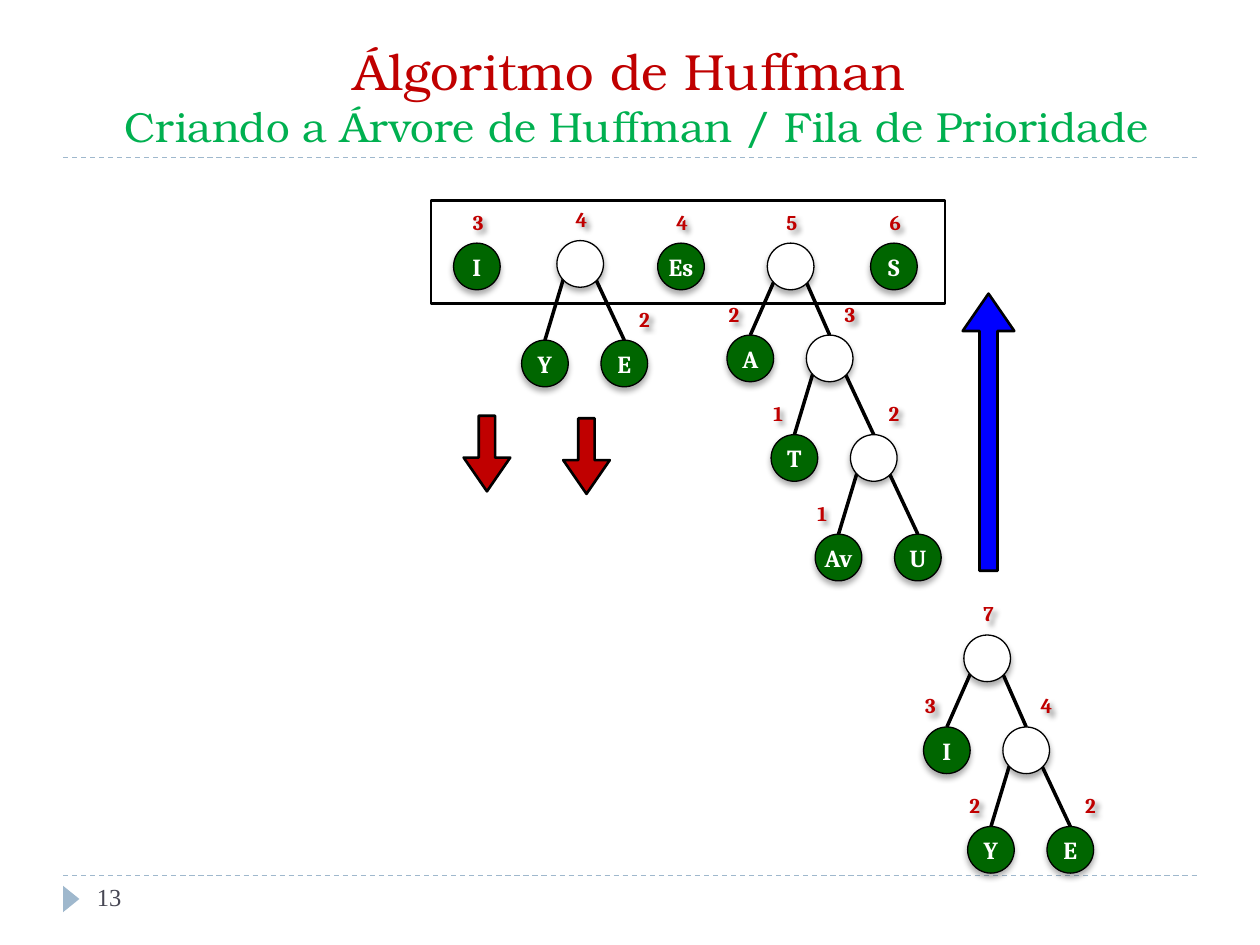
import pptx
import pptx.dml.color
import pptx.enum.dml
import pptx.enum.shapes
import pptx.enum.text
import pptx.oxml
import pptx.util
from collections import namedtuple

Inches = pptx.util.Inches
Pt = pptx.util.Pt
SHAPE = pptx.enum.shapes.MSO_SHAPE
ALIGN = pptx.enum.text.PP_ALIGN
ANCHOR = pptx.enum.text.MSO_ANCHOR
A_NS = 'xmlns:a="http://schemas.openxmlformats.org/drawingml/2006/main"'

NODE = 0.37
Tree = namedtuple("Tree", "label weight children spread", defaults=("", "", (), (-0.28, 0.35, 0.79)))
WIDE = (-0.32, 0.31, 0.73)  # left step, right step, drop


def color(hex_value):
    return pptx.dml.color.RGBColor.from_string(hex_value)


def add_effects(shape, blur=None, distance=0, angle=0, alpha=0):
    """Give a soft shadow, or an empty effect list when blur is None."""
    shadow = "" if blur is None else (
        f'<a:outerShdw blurRad="{Pt(blur)}" dist="{Pt(distance)}" dir="{angle * 60000}" rotWithShape="0">'
        f'<a:srgbClr val="000000"><a:alpha val="{alpha * 1000}"/></a:srgbClr></a:outerShdw>')
    shape._element.spPr.append(pptx.oxml.parse_xml(f"<a:effectLst {A_NS}>{shadow}</a:effectLst>"))


def format_run(run, text, size, font, hex_value, bold=False):
    run.text = text
    for name, value in {"size": Pt(size), "name": font, "bold": bold}.items():
        setattr(run.font, name, value)
    run.font.color.rgb = color(hex_value)


def format_frame(frame, anchor, margins=(0.1, 0.05), wrap=True):
    side, end = map(Inches, margins)
    settings = {"margin_left": side, "margin_right": side, "margin_top": end, "margin_bottom": end,
                "vertical_anchor": anchor, "word_wrap": wrap,
                "auto_size": pptx.enum.text.MSO_AUTO_SIZE.NONE}
    for name, value in settings.items():
        setattr(frame, name, value)


def add_line(shapes, start, end, hex_value, width, dashed=False):
    line = shapes.add_connector(pptx.enum.shapes.MSO_CONNECTOR.STRAIGHT,
                                *map(Inches, (*start, *end)))
    line.line.color.rgb = color(hex_value)
    line.line.width = Pt(width)
    if dashed:
        line.line.dash_style = pptx.enum.dml.MSO_LINE.DASH
    add_effects(line)


def add_figure(shapes, kind, box, fill=None, outline=None, width=1.5):
    figure = shapes.add_shape(kind, *map(Inches, box))
    figure.shadow.inherit = False
    if fill:
        figure.fill.solid()
        figure.fill.fore_color.rgb = color(fill)
    else:
        figure.fill.background()
    if outline:
        figure.line.color.rgb = color(outline)
        figure.line.width = Pt(width)
    else:
        figure.line.fill.background()
    return figure


def add_arrow(shapes, box, fill, rotation=0):
    arrow = add_figure(shapes, SHAPE.DOWN_ARROW, box, fill, "000000")
    arrow.adjustments[0], arrow.adjustments[1] = 0.35, 0.724
    arrow.rotation = rotation


def add_weight(shapes, left, top, weight):
    box = shapes.add_textbox(*map(Inches, (left, top, 0.41, 0.3)))
    format_frame(box.text_frame, ANCHOR.MIDDLE)
    paragraph = box.text_frame.paragraphs[0]
    paragraph.alignment = ALIGN.CENTER
    format_run(paragraph.add_run(), weight, 12, "Cambria", "C00000", True)
    add_effects(box, 3, 3, 45, 40)


def add_node(shapes, left, top, label):
    node = add_figure(shapes, SHAPE.OVAL, (left, top, NODE, NODE),
                      "006600" if label else "FFFFFF", "000000", 0.75)
    node._element.spPr.remove(node._element.spPr[-1])
    add_effects(node, 3.5, 2.2, 90, 32)
    if label:
        format_frame(node.text_frame, ANCHOR.MIDDLE, (0, 0), False)
        paragraph = node.text_frame.paragraphs[0]
        paragraph.alignment = ALIGN.CENTER
        format_run(paragraph.add_run(), label, 14, "Cambria", "FFFFFF", True)


def add_tree(shapes, left, top, tree, weight_shift=-0.01):
    """Draw a node at its corner, then its branches below it."""
    if tree.children:
        step_left, step_right, drop = tree.spread
        for child, step, joint, shift in zip(tree.children, (step_left, step_right),
                                             (0.05, 0.31), (-0.15, 0.14)):
            child_left, child_top = left + step, top + drop
            add_line(shapes, (child_left + NODE / 2, child_top), (left + joint, top + 0.31), "000000", 2)
            add_tree(shapes, child_left, child_top, child, shift)
    add_node(shapes, left, top, tree.label)
    if tree.weight:
        add_weight(shapes, left + weight_shift, top - 0.32, tree.weight)


def add_title(slide, box):
    title = slide.shapes.title
    title.left, title.top, title.width, title.height = map(Inches, box)
    format_frame(title.text_frame, ANCHOR.BOTTOM)
    paragraph = title.text_frame.paragraphs[0]
    paragraph.alignment = ALIGN.CENTER
    format_run(paragraph.add_run(), "Álgoritmo de Huffman", 29, "TeX Gyre Bonum", "C00000")
    paragraph.add_line_break()
    format_run(paragraph.add_run(), " Criando a Árvore de Huffman / Fila de Prioridade",
               24, "TeX Gyre Bonum", "00B050")


def add_frame_lines(shapes, left, right, header, footer):
    for y in (header, footer):
        add_line(shapes, (left, y), (right, y), "9FB8CD", 0.75, True)
    marker = add_figure(shapes, SHAPE.ISOSCELES_TRIANGLE, (left - 0.04, footer + 0.12, 0.21, 0.13), "9FB8CD")
    marker.rotation = 90
    number = shapes.add_textbox(*map(Inches, (left + 0.17, footer, 2.17, 0.4)))
    format_frame(number.text_frame, ANCHOR.TOP)
    format_run(number.text_frame.paragraphs[0].add_run(), "13", 14, "Times New Roman", "464653")


def add_queue(shapes, box):
    """Draw the priority queue with its trees hanging from it."""
    left, top = box[:2]
    add_figure(shapes, SHAPE.RECTANGLE, box, None, "000000")
    ye = Tree("", "4", (Tree("Y"), Tree("E", "2")))
    av_u = Tree("", "2", (Tree("Av", "1"), Tree("U")))
    a_rest = Tree("", "5", (Tree("A", "2"), Tree("", "3", (Tree("T", "1"), av_u))), WIDE)
    entries = [(0.18, 0.34, Tree("I", "3")), (1, 0.32, ye), (1.8, 0.34, Tree("Es", "4")),
               (2.67, 0.34, a_rest), (3.49, 0.34, Tree("S", "6"))]
    for x, y, tree in entries:
        target = shapes.add_group_shape().shapes if tree.children else shapes
        add_tree(target, left + x, top + y, tree)


def add_merged_tree(shapes, left, top):
    ye = Tree("", "4", (Tree("Y", "2"), Tree("E", "2")))
    merged = Tree("", "7", (Tree("I", "3"), ye), WIDE)
    add_tree(shapes.add_group_shape().shapes, left, top, merged)


presentation = pptx.Presentation()
presentation.slide_width, presentation.slide_height = Inches(10), Inches(7.5)
slide = presentation.slides.add_slide(presentation.slide_layouts[5])
shapes = slide.shapes

# Title and frame
add_frame_lines(shapes, 0.5, 9.5, 1.25, 6.95)
add_title(slide, (0.5, 0.25, 9, 1))

# Queue and the tree made from its first two entries
add_queue(shapes, (3.42, 1.59, 4.08, 0.82))
add_merged_tree(shapes, 7.65, 5.04)

# Arrows: two entries leave, the merged tree enters
for x, y in ((3.68, 3.3), (4.47, 3.32)):
    add_arrow(shapes, (x, y, 0.37, 0.6), "C00000")
add_arrow(shapes, (7.64, 2.33, 0.41, 2.2), "0000FF", 180)

presentation.save("out.pptx")
